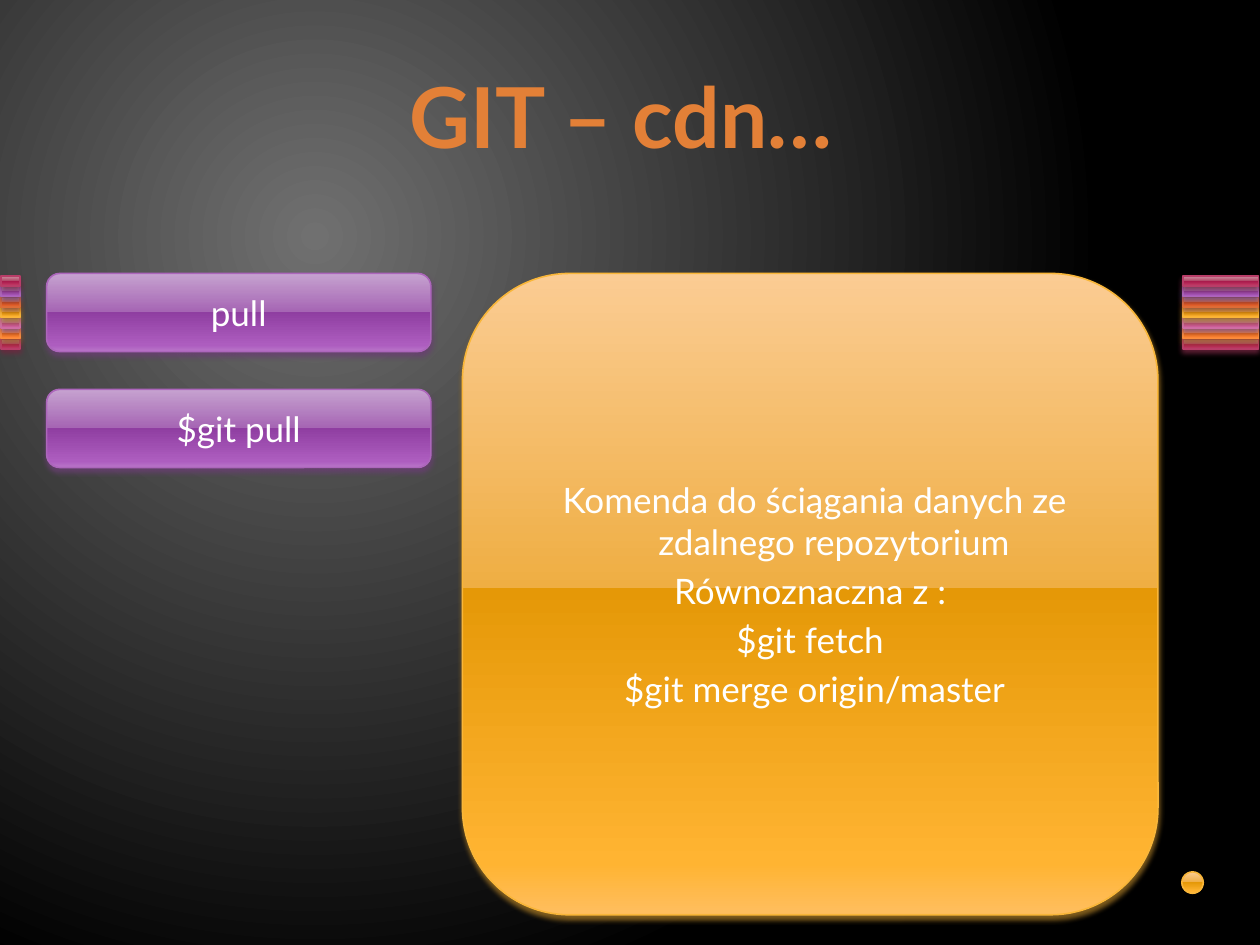
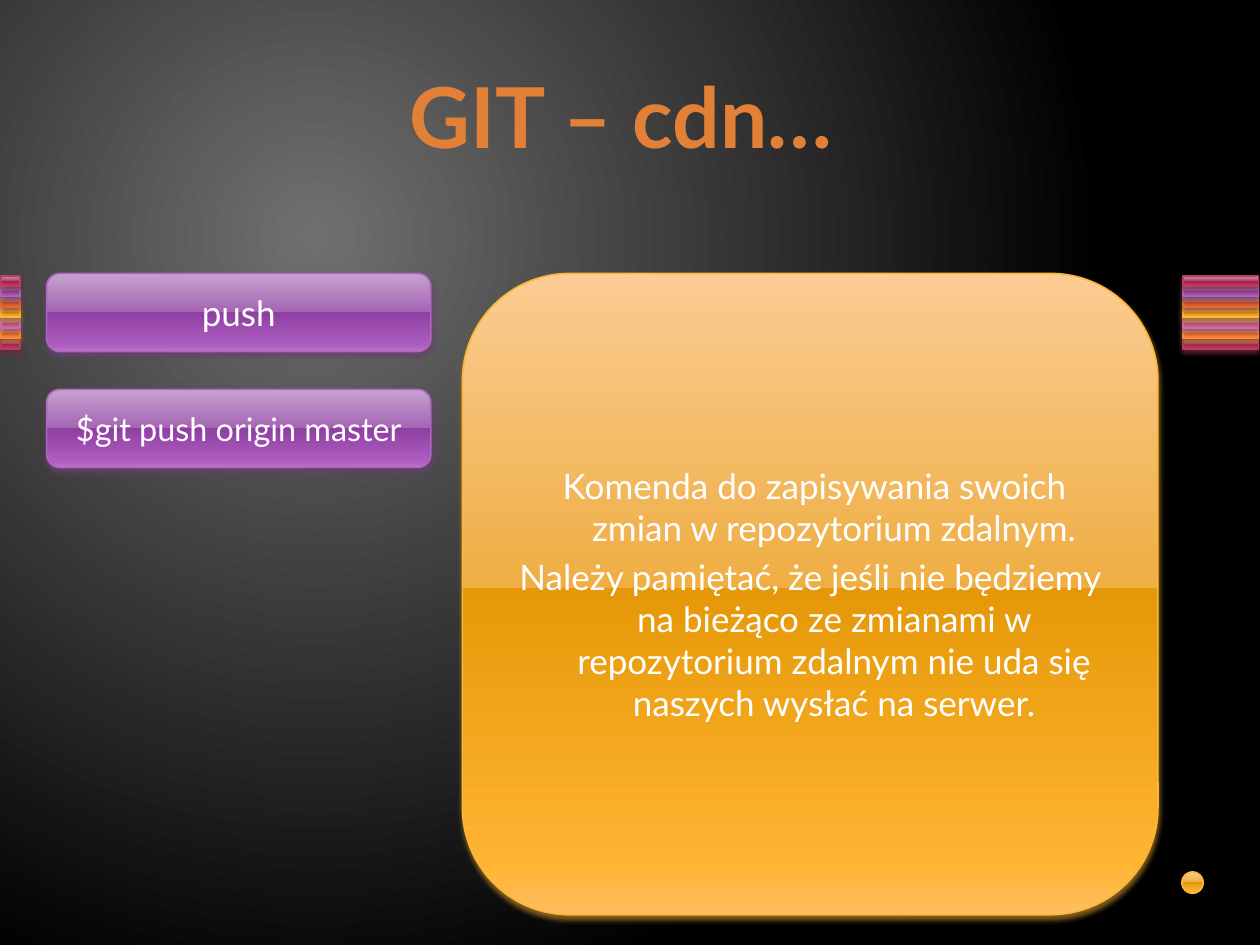
from dataclasses import dataclass
from typing import NamedTuple

import pptx
import pptx.dml.color
import pptx.enum.shapes
import pptx.enum.text
import pptx.oxml
import pptx.oxml.ns
import pptx.shapes.autoshape
import pptx.slide
import pptx.text.text
import pptx.util

Inches = pptx.util.Inches
Pt = pptx.util.Pt
Kind = pptx.enum.shapes.MSO_SHAPE
Color = pptx.dml.color.RGBColor
NS = pptx.oxml.ns.nsdecls("a")
qn = pptx.oxml.ns.qn


class Tone(NamedTuple):
    stops: tuple[str, ...]
    line: str
    shade: str


class Box(NamedTuple):
    left: float
    top: float
    width: float
    height: float

    def emu(self) -> list[int]:
        return [Inches(side) for side in self]


class Topic(NamedTuple):
    name: str
    code: str
    code_size: float
    notes: tuple[str, ...]


@dataclass(frozen=True)
class Theme:
    font: str = "Lato"
    title: str = "E38037"
    text: str = "FFFFFF"
    back: tuple[str, ...] = ("707070", "000000")
    title_size: float = 48
    text_size: float = 20
    line_width: float = 0.9
    berry: Tone = Tone(("CE94A2", "B34869", "A61749", "C13764", "CA5D7C"), "B83D68", "722640")
    plum: Tone = Tone(("C6A2D0", "A666B4", "8F3EA1", "AD5DBF", "BA76CA"), "AC66BB", "6A3F73")
    rust: Tone = Tone(("E7A493", "D66B42", "CC4809", "E9642C", "F07B55"), "DE6C36", "894321")
    gold: Tone = Tone(("FBCC93", "EFAE43", "E59807", "FFB432", "FFBE5F"), "F9B639", "9A7023")
    pink: Tone = Tone(("DDA4C1", "C66B9D", "B34181", "D361A0", "DC79AE"), "CF6DA4", "804365")
    orange: Tone = Tone(("FBB494", "F08745", "E5670B", "FF8736", "FF9961"), "FA8D3D", "9A5726")


THEME = Theme()
GLOSS = (0, 49, 49, 92, 100)
BANDS = (THEME.berry, THEME.plum, THEME.rust, THEME.gold, THEME.pink, THEME.orange, THEME.berry)
BAND_TOP = 2.19
BAND_STEP = 0.5 / 6
BAND_SIDES = ((0.01, 0.15), (9.39, 0.6))
TITLE = Box(0.43, 0.29, 9, 1.25)
NAME = Box(0.37, 2.17, 3.05, 0.62)
CODE = NAME._replace(top=3.09)
NOTES = Box(3.67, 2.17, 5.52, 5.09)
DOT = Box(9.38, 6.92, 0.17, 0.17)

TOPICS = (
    Topic("pull", "$git pull", 20, (
        " Komenda do ściągania danych ze zdalnego repozytorium",
        "Równoznaczna z :",
        "$git fetch",
        " $git merge origin/master",
    )),
    Topic("push", "$git push origin master", 18.5, (
        " Komenda do zapisywania swoich zmian w repozytorium zdalnym.",
        "Należy pamiętać, że jeśli nie będziemy na bieżąco ze zmianami w "
        "repozytorium zdalnym nie uda się naszych wysłać na serwer.",
    )),
)


def ramp(colors: tuple[str, ...], marks: tuple[int, ...], course: str):
    stops = "".join(
        f'<a:gs pos="{mark * 1000}"><a:srgbClr val="{color}"/></a:gs>'
        for mark, color in zip(marks, colors)
    )
    return pptx.oxml.parse_xml(
        f'<a:gradFill {NS} rotWithShape="1"><a:gsLst>{stops}</a:gsLst>{course}</a:gradFill>'
    )


def swap(host, new) -> None:
    old = next(host.iter(qn("a:noFill")))
    old.getparent().replace(old, new)


def paint(master: pptx.slide.SlideMaster) -> None:
    master.background.fill.background()
    course = '<a:path path="circle"><a:fillToRect l="50000" t="50000" r="100000" b="100000"/></a:path>'
    swap(master.element, ramp(THEME.back, (0, 100), course))


def gloss(shapes, kind: Kind, box: Box, tone: Tone, cast: bool = True) -> pptx.shapes.autoshape.Shape:
    shape = shapes.add_shape(kind, *box.emu())
    shape.fill.background()
    swap(shape.element.spPr, ramp(tone.stops, GLOSS, '<a:lin ang="5400000" scaled="0"/>'))
    shape.line.color.rgb = Color.from_string(tone.line)
    shape.line.width = Pt(THEME.line_width)
    shape.shadow.inherit = False
    if cast:
        shape.element.spPr.find(qn("a:effectLst")).append(pptx.oxml.parse_xml(
            f'<a:outerShdw {NS} blurRad="{Pt(3.1)}" dist="{Pt(2)}" dir="5400000" rotWithShape="0">'
            f'<a:srgbClr val="{tone.shade}"><a:alpha val="83000"/></a:srgbClr></a:outerShdw>'
        ))
    return shape


def write(frame: pptx.text.text.TextFrame, lines: tuple[str, ...], size: float,
          color: str = THEME.text, bold: bool = False) -> None:
    frame.word_wrap = True
    frame.vertical_anchor = pptx.enum.text.MSO_ANCHOR.MIDDLE
    frame.text = "\n".join(lines)
    for para in frame.paragraphs:
        para.alignment = pptx.enum.text.PP_ALIGN.CENTER
        para.space_before = Pt(size * 0.2)
        para.font.name = THEME.font
        para.font.size = Pt(size)
        para.font.bold = bold
        para.font.color.rgb = Color.from_string(color)
        props = para._p.get_or_add_pPr()
        props.set("marL", str(Inches(0.38)))
        props.set("indent", str(Inches(-0.38)))


def card(slide: pptx.slide.Slide, box: Box, tone: Tone, lines: tuple[str, ...],
         size: float = THEME.text_size) -> None:
    shape = gloss(slide.shapes, Kind.ROUNDED_RECTANGLE, box, tone)
    shape.adjustments[0] = 0.167
    write(shape.text_frame, lines, size)


def frame(slide: pptx.slide.Slide) -> None:
    for left, width in BAND_SIDES:
        group = slide.shapes.add_group_shape()
        for row, tone in reversed(list(enumerate(BANDS))):
            box = Box(left, BAND_TOP + row * BAND_STEP, width, 0.08)
            gloss(group.shapes, Kind.RECTANGLE, box, tone)
    gloss(slide.shapes, Kind.OVAL, DOT, THEME.gold, cast=False)
    title = slide.shapes.add_textbox(*TITLE.emu())
    write(title.text_frame, ("GIT – cdn…",), THEME.title_size, THEME.title, bold=True)


def main() -> None:
    deck = pptx.Presentation()
    deck.slide_width, deck.slide_height = Inches(10), Inches(7.5)
    paint(deck.slide_master)
    for topic in TOPICS:
        slide = deck.slides.add_slide(deck.slide_layouts[6])
        frame(slide)
        card(slide, NAME, THEME.plum, (topic.name,))
        card(slide, NOTES, THEME.gold, topic.notes)
        card(slide, CODE, THEME.plum, (topic.code,), topic.code_size)
    deck.save("out.pptx")


if __name__ == "__main__":
    main()
